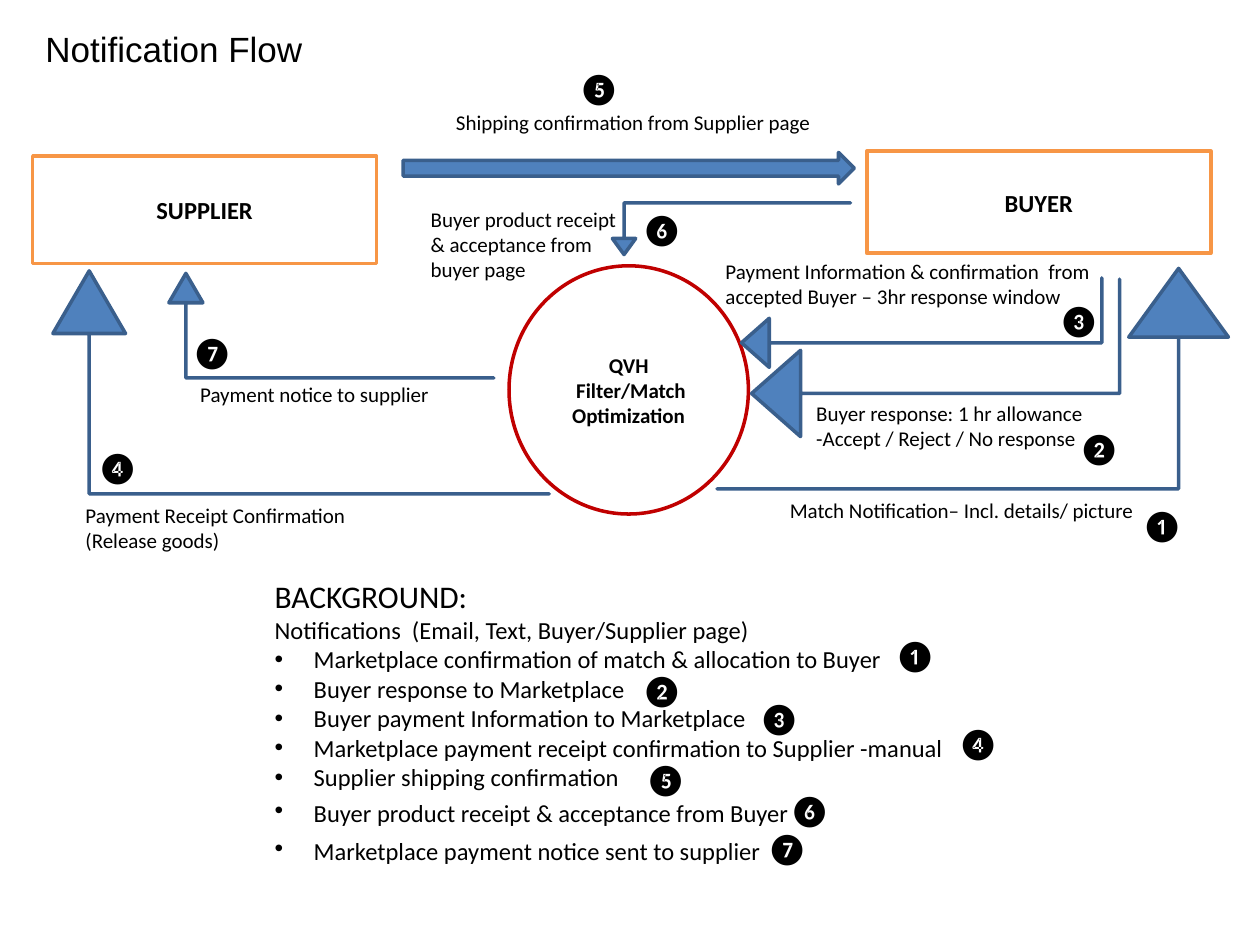
from pptx import Presentation
from pptx.dml.color import RGBColor
from pptx.enum.shapes import MSO_SHAPE as SHAPE
from pptx.enum.text import MSO_ANCHOR as ANCHOR, MSO_AUTO_SIZE as AUTO, PP_ALIGN as ALIGN
from pptx.oxml.ns import qn
from pptx.util import Inches, Pt
from lxml import etree

COLORS = {"text": "000000", "circle": "C00000", "box": "F79646",
          "arrow": "4F81BD", "edge": "3A5F8C"}

ARROWS = [
    (6.8, 1.38, 1.25, 2.92, 90, "flipV", (0, 0.274, 0.311)),
    (0.42, 2.15, 3.94, 1.77, 0, "flipH", (0, 0.163, 0.281)),
    (5.69, 2.13, 4.06, 1.75, 0, None, (0, 0.226, 0.312)),
    (6.96, 1.13, 0.71, 2.86, 90, "flipV", (0, 0.274, 0.311)),
    (4.86, 1.61, 1.89, 0.41, 180, None, (0, 0.226, 0.312)),
    (1.34, 2.17, 2.58, 0.83, 0, "flipH", (0, 0.163, 0.281)),
]

LABELS = [
    ("Match Notification– Incl. details/ picture", 6.17, 3.9, 3.21, 0.3),
    ("Payment Information & confirmation  from accepted Buyer – 3hr response window",
     5.66, 2, 3.34, 0.5),
    ("Buyer response: 1 hr allowance -Accept / Reject / No response", 6.38, 3.13, 2.53, 0.5),
    ("Payment Receipt Confirmation (Release goods)", 0.58, 3.94, 2.41, 0.5),
    ("Buyer product receipt & acceptance from buyer page", 3.32, 1.59, 1.73, 0.71),
    ("Shipping confirmation from Supplier page", 3.52, 0.82, 3.21, 0.3),
    ("Payment notice to supplier", 1.49, 2.98, 2.41, 0.3),
]

BADGES = [
    ("❶", 8.96, 3.97), ("❷", 8.46, 3.36), ("❸", 8.3, 2.34), ("❹", 0.67, 3.51),
    ("❺", 4.49, 0.5), ("❻", 4.99, 1.62), ("❼", 1.42, 2.59),
    ("❶", 7, 5), ("❷", 4.99, 5.28), ("❸", 5.92, 5.5), ("❹", 7.5, 5.7), ("❺", 5.02, 5.98),
]

BULLETS = [
    ("Marketplace confirmation of match & allocation to Buyer", ""),
    ("Buyer response to Marketplace", ""),
    ("Buyer payment Information to Marketplace", ""),
    ("Marketplace payment receipt confirmation to Supplier -manual", ""),
    ("Supplier shipping confirmation", ""),
    ("Buyer product receipt & acceptance from Buyer", "❻"),
    ("Marketplace payment notice sent to supplier ", "❼"),
]


def rgb(name):
    return RGBColor.from_string(COLORS[name])


def add_text(p, text, size=12, font="Calibri", bold=False, color="text", align=ALIGN.LEFT):
    p.alignment = align
    r = p.add_run()
    r.text = text
    r.font.size, r.font.name, r.font.bold = Pt(size), font, bold
    r.font.color.rgb = rgb(color)
    return r


def place(sp, *box):
    sp.left, sp.top, sp.width, sp.height = map(Inches, box)


def frame(sp, anchor=ANCHOR.TOP):
    tf = sp.text_frame
    tf.word_wrap, tf.auto_size, tf.vertical_anchor = True, AUTO.NONE, anchor
    return tf


def add_label(s, text, *box, **fmt):
    tf = frame(s.shapes.add_textbox(*map(Inches, box)))
    add_text(tf.paragraphs[0], text, **fmt)


def add_shape(s, kind, box, line, fill=None):
    sp = s.shapes.add_shape(kind, *map(Inches, box))
    sp.shadow.inherit = False
    if fill:
        sp.fill.solid()
        sp.fill.fore_color.rgb = rgb(fill)
    else:
        sp.fill.background()
    sp.line.color.rgb, sp.line.width = rgb(line), Pt(2)
    return sp


def add_node(s, kind, box, line, lines, size):
    tf = frame(add_shape(s, kind, box, line), ANCHOR.MIDDLE)
    for i, text in enumerate(lines):
        p = tf.add_paragraph() if i else tf.paragraphs[0]
        add_text(p, text, size=size, bold=True, align=ALIGN.CENTER)


def add_bent_arrow(s, x, y, w, h, rotation, flip, adjustments):
    sp = add_shape(s, SHAPE.BENT_UP_ARROW, (x, y, w, h), "edge", "arrow")
    sp.rotation = rotation
    for i, value in enumerate(adjustments):
        sp.adjustments[i] = value
    if flip:
        sp._element.spPr.find(qn("a:xfrm")).set(flip, "1")


def set_bullet(p, char=None):
    pPr = p._p.get_or_add_pPr()
    indent = Inches(0.31) if char else 0
    pPr.set("marL", str(indent))
    pPr.set("indent", str(-indent))
    if char:
        etree.SubElement(pPr, qn("a:buFont"), typeface="Arial")
        etree.SubElement(pPr, qn("a:buChar"), char=char)
    else:
        etree.SubElement(pPr, qn("a:buNone"))


def fill_background(body):
    place(body, 2.08, 4.53, 6.35, 2.42)
    tf = frame(body)
    rows = [("BACKGROUND:", "", 18, None),
            ("Notifications  (Email, Text, Buyer/Supplier page)", "", 14, None)]
    rows += [(text, badge, 14, "•") for text, badge in BULLETS]
    for i, (text, badge, size, char) in enumerate(rows):
        p = tf.add_paragraph() if i else tf.paragraphs[0]
        p.space_before = Pt(0)
        set_bullet(p, char)
        add_text(p, text, size=size)
        if badge:
            add_text(p, badge, size=18)


def main():
    prs = Presentation()
    prs.slide_width, prs.slide_height = Inches(10), Inches(7.5)
    s = prs.slides.add_slide(prs.slide_layouts[1])
    title = s.shapes.title
    place(title, 0.26, 0.17, 3.85, 0.62)
    add_text(frame(title).paragraphs[0], "Notification Flow", size=20, font="Arial")
    fill_background(s.placeholders[1])

    add_node(s, SHAPE.FLOWCHART_CONNECTOR, (4.04, 2.11, 1.9, 1.97), "circle",
             ["QVH", " Filter/Match Optimization"], 12)
    add_node(s, SHAPE.RECTANGLE, (6.88, 1.2, 2.73, 0.81), "box", ["BUYER"], 14)
    add_node(s, SHAPE.RECTANGLE, (0.26, 1.24, 2.73, 0.85), "box", ["SUPPLIER"], 14)
    for arrow in ARROWS:
        add_bent_arrow(s, *arrow)
    add_shape(s, SHAPE.RIGHT_ARROW, (3.2, 1.21, 3.58, 0.25), "edge", "arrow")
    for label in LABELS:
        add_label(s, *label)
    for char, x, y in BADGES:
        add_label(s, char, x, y, 0.54, 0.4, size=18)
    prs.save("out.pptx")


main()
